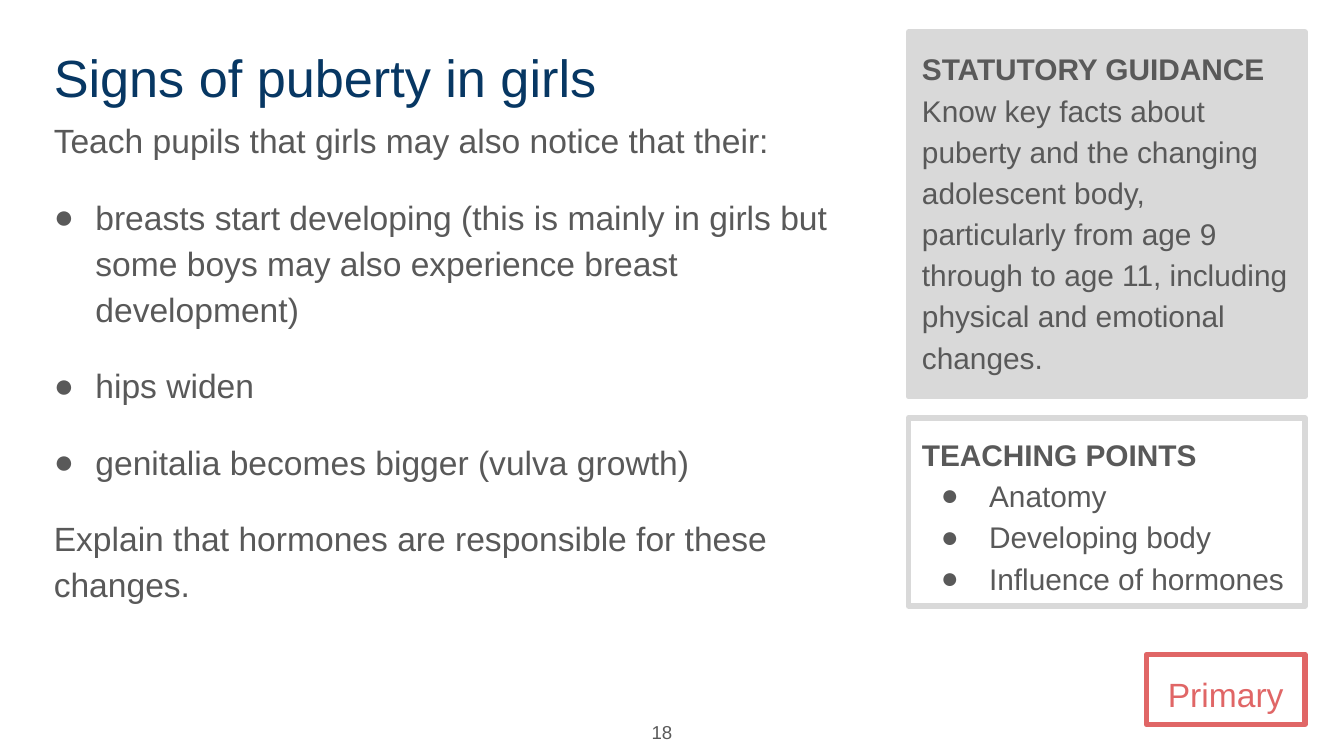
from copy import deepcopy
from dataclasses import dataclass
from typing import Optional

from lxml import etree
from pptx import Presentation
from pptx import util as u
from pptx.dml import color
from pptx.enum import text as tx
from pptx.oxml import ns


@dataclass(frozen=True)
class Theme:
    font: str = "Arial"
    navy: str = "073763"
    grey: str = "595959"
    pale: str = "D9D9D9"
    red: str = "E06666"
    head: float = 28
    main: float = 18
    side: float = 16
    page: float = 10


@dataclass(frozen=True)
class Para:
    text: str = ""
    head: str = ""
    bullet: bool = False


@dataclass(frozen=True)
class Box:
    left: float
    top: float
    width: float
    height: float
    fill: Optional[str] = None
    line: Optional[str] = None


T = Theme()
SIDE = dict(left=6.76, width=2.95, line=T.pale)
TITLE = Box(0.3, 0.24, 6.41, 0.63)
MAIN = Box(0.3, 0.75, 6.32, 4.12)
GUIDE = Box(top=0.24, height=2.71, fill=T.pale, **SIDE)
POINTS = Box(top=3.11, height=1.4, **SIDE)
PHASE = Box(8.53, 4.87, 1.18, 0.52, line=T.red)
PAGE = Box(4.71, 5.26, 0.39, 0.37)


def rgb(code: str) -> color.RGBColor:
    return color.RGBColor.from_string(code)


def place(shape, box: Box) -> None:
    shape.left, shape.top = u.Inches(box.left), u.Inches(box.top)
    shape.width, shape.height = u.Inches(box.width), u.Inches(box.height)
    if box.fill:
        shape.fill.solid()
        shape.fill.fore_color.rgb = rgb(box.fill)
    if box.line:
        shape.line.color.rgb = rgb(box.line)
        shape.line.width = u.Pt(3)


def mark(para, ink: str, bullet: bool, indent: float, hang: float) -> None:
    """Set the bullet and hanging indent, or clear those of the template."""
    props = para._p.get_or_add_pPr()
    props.set("marL", str(u.Inches(indent if bullet else 0)))
    props.set("indent", str(u.Inches(-hang if bullet else 0)))
    if not bullet:
        etree.SubElement(props, ns.qn("a:buNone"))
        return
    tint = etree.SubElement(props, ns.qn("a:buClr"))
    etree.SubElement(tint, ns.qn("a:srgbClr"), val=ink)
    etree.SubElement(props, ns.qn("a:buFont"), typeface=T.font)
    etree.SubElement(props, ns.qn("a:buChar"), char="●")


def add_run(para, words: str, size: float, ink: str, bold: bool):
    run = para.add_run()
    run.text = words
    font = run.font
    font.name, font.size, font.bold = T.font, u.Pt(size), bold
    font.color.rgb = rgb(ink)
    return run


def write(shape, *paras: Para, size: float, ink: str = T.grey,
          align=tx.PP_ALIGN.LEFT, anchor=tx.MSO_ANCHOR.TOP,
          lead: float = 1.15, gap: float = 0,
          indent: float = 0.5, hang: float = 0.36) -> None:
    frame = shape.text_frame
    frame.word_wrap = True
    frame.auto_size = tx.MSO_AUTO_SIZE.NONE
    frame.vertical_anchor = anchor
    frame.margin_left = frame.margin_right = u.Inches(0.1)
    frame.margin_top = frame.margin_bottom = u.Inches(0.1)
    for i, item in enumerate(paras):
        para = frame.add_paragraph() if i else frame.paragraphs[0]
        mark(para, ink, item.bullet, indent, hang)
        para.alignment = align
        para.line_spacing = lead
        para.space_before = u.Pt(gap if i else 0)
        para.space_after = u.Pt(0)
        if item.head:
            run = add_run(para, item.head, size, ink, True)
        if item.head and item.text:
            para.add_line_break()
            # The break takes the heading's format, so its line keeps its height.
            para._p[-1].append(deepcopy(run._r.rPr))
        if item.text:
            add_run(para, item.text, size, ink, False)


def main() -> None:
    deck = Presentation()
    deck.slide_width = u.Inches(10)
    deck.slide_height = deck.slide_width * 9 // 16
    # The comparison layout has a title and four text areas.
    slide = deck.slides.add_slide(deck.slide_layouts[4])
    title, body, guide, points, phase = slide.placeholders
    page = slide.shapes.add_textbox(0, 0, 0, 0)
    for shape, box in ((title, TITLE), (body, MAIN), (guide, GUIDE),
                       (points, POINTS), (phase, PHASE), (page, PAGE)):
        place(shape, box)

    write(title, Para("Signs of puberty in girls"),
          size=T.head, ink=T.navy, lead=1)
    write(body,
          Para("Teach pupils that girls may also notice that their:"),
          Para("breasts start developing (this is mainly in girls but some "
               "boys may also experience breast development)", bullet=True),
          Para("hips widen", bullet=True),
          Para("genitalia becomes bigger (vulva growth)", bullet=True),
          Para("Explain that hormones are responsible for these changes."),
          size=T.main, gap=16, indent=0.31, hang=0.31)
    write(guide,
          Para("Know key facts about puberty and the changing adolescent "
               "body, particularly from age 9 through to age 11, including "
               "physical and emotional changes.", head="STATUTORY GUIDANCE"),
          size=T.side)
    write(points,
          Para(head="TEACHING POINTS"),
          Para("Anatomy", bullet=True),
          Para("Developing body", bullet=True),
          Para("Influence of hormones", bullet=True),
          size=T.side)
    write(phase, Para("Primary"), size=T.main, ink=T.red,
          align=tx.PP_ALIGN.CENTER)
    write(page, Para("18"), size=T.page, lead=1,
          align=tx.PP_ALIGN.RIGHT, anchor=tx.MSO_ANCHOR.MIDDLE)
    deck.save("out.pptx")


if __name__ == "__main__":
    main()
